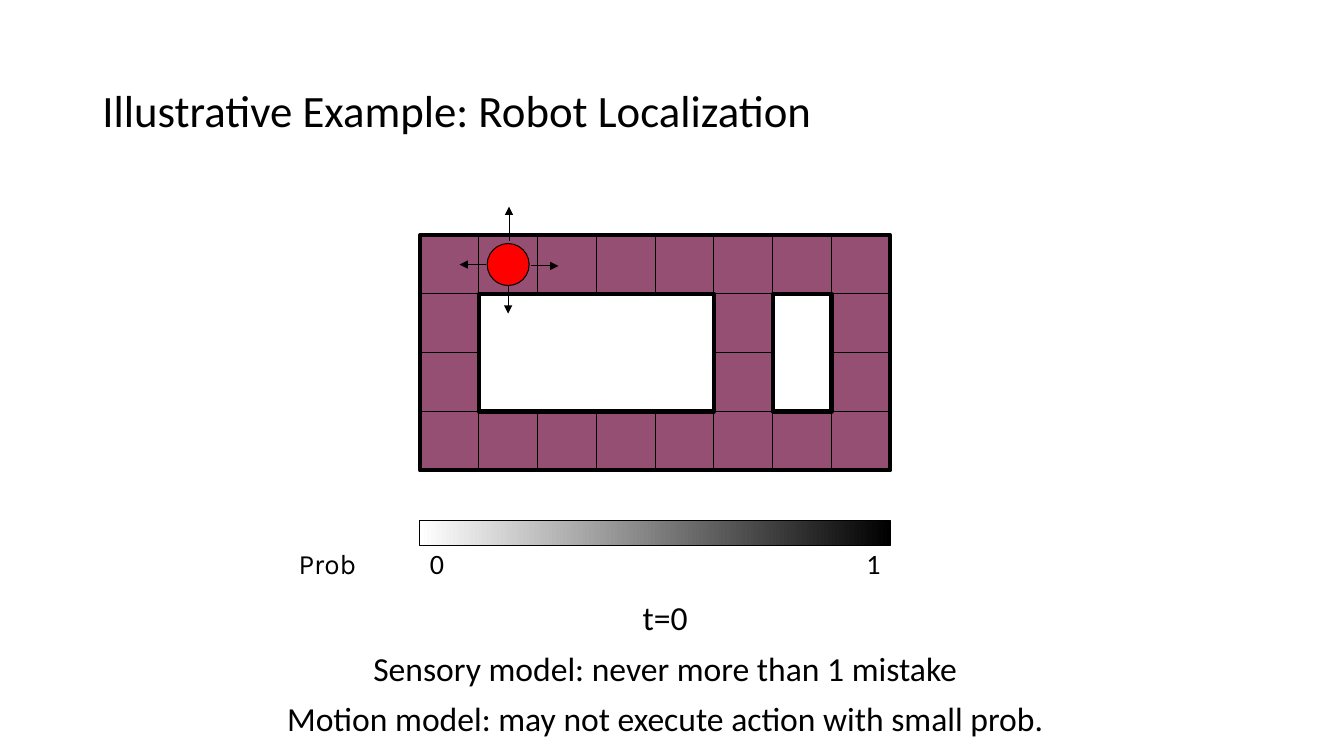
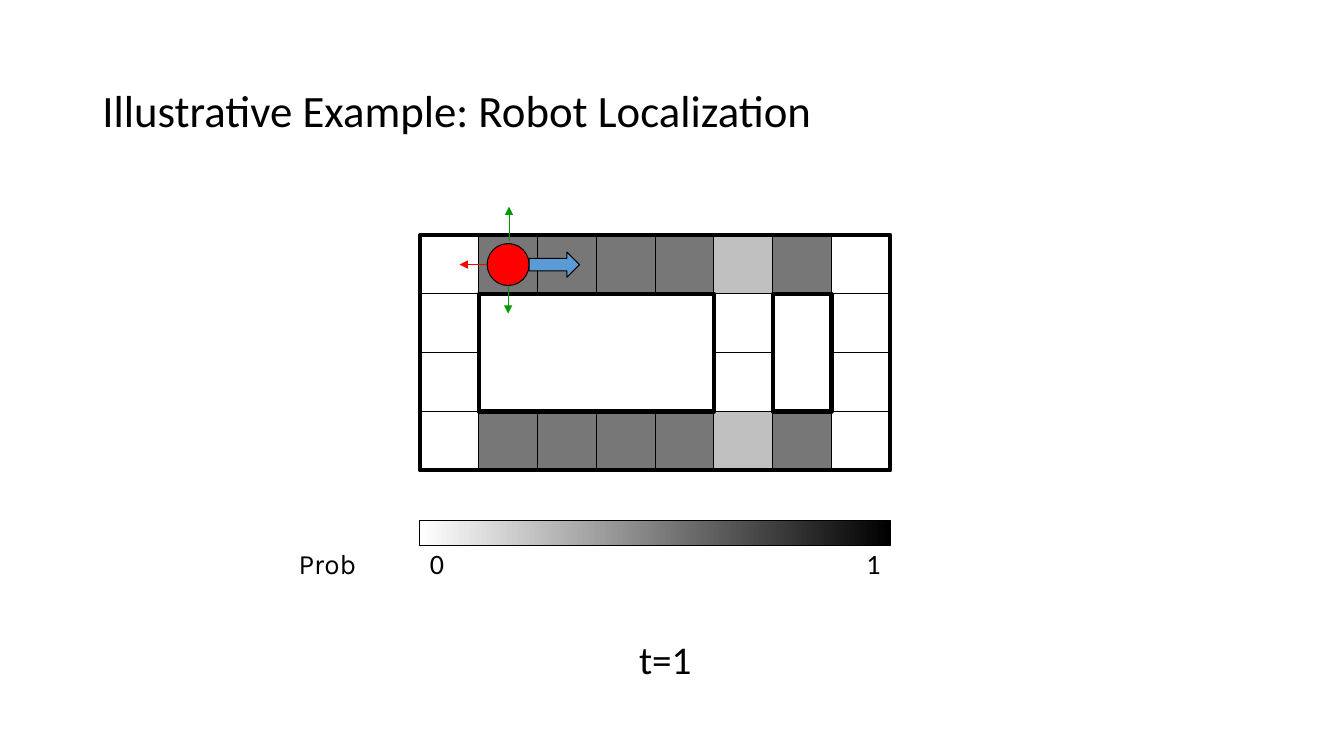
from lxml import etree
from pptx import Presentation
from pptx.dml.color import RGBColor
from pptx.enum.shapes import MSO_CONNECTOR, MSO_SHAPE
from pptx.enum.text import MSO_ANCHOR, PP_ALIGN
from pptx.oxml.ns import qn
from pptx.util import Pt

RECT, OVAL, RIGHT_ARROW = MSO_SHAPE.RECTANGLE, MSO_SHAPE.OVAL, MSO_SHAPE.RIGHT_ARROW
STRAIGHT = MSO_CONNECTOR.STRAIGHT
TOP, MIDDLE = MSO_ANCHOR.TOP, MSO_ANCHOR.MIDDLE
LEFT, CENTER, RIGHT = PP_ALIGN.LEFT, PP_ALIGN.CENTER, PP_ALIGN.RIGHT

BLACK, WHITE, RED, GREEN, BLUE = "000000", "FFFFFF", "FF0000", "009900", "5B9BD5"
CELL_COLOURS = {"P": "954F72", "D": "777777", "L": "C0C0C0", "W": WHITE}
FONT = "Calibri"

TITLE = "Illustrative Example: Robot Localization"
STEPS = [
    {
        "map": ["PPPPPPPP", "P....P.P", "P....P.P", "PPPPPPPP"],
        "rays": {"up": BLACK, "down": BLACK, "left": BLACK, "right": BLACK},
        "moves_right": False,
        "caption": ["t=0", "Sensory model: never more than 1 mistake",
                    "Motion model: may not execute action with small prob."],
        "caption_top": 426.24, "caption_size": 24,
    },
    {
        "map": ["WDDDDLDW", "W....W.W", "W....W.W", "WDDDDLDW"],
        "rays": {"up": GREEN, "down": GREEN, "left": RED},
        "moves_right": True,
        "caption": ["t=1"],
        "caption_top": 454.32, "caption_size": 28,
    },
]

CELL, MAP_LEFT, MAP_TOP = 42, 300, 168
COLUMNS, ROWS = 8, 4
WALLS = [(1, 1, 4, 2, WHITE), (0, 0, COLUMNS, ROWS, None), (6, 1, 1, 2, WHITE)]
ROBOT_CELL, ROBOT_SIZE = (1, 0), 30
RAYS = {
    "up": (0.6, -17, 0.6, -41.4),
    "down": (0, 15, 0, 35),
    "left": (-16, 0, -34.7, 0),
    "right": (16.4, 1, 36, 1),
}
SCALE_TOP, SCALE_HEIGHT, LABEL_HEIGHT = 372, 18, 24
SCALE_LABELS = [
    ("1", MAP_LEFT + COLUMNS * CELL / 2, COLUMNS * CELL / 2, RIGHT, FONT),
    ("0", MAP_LEFT, COLUMNS * CELL / 2, LEFT, FONT),
    ("Prob", 180, 108, CENTER, "Karla"),
]


def colour(value):
    return RGBColor.from_string(value)


def add_outlined(slide, kind, left, top, width, height, fill, weight=0.75):
    shape = slide.shapes.add_shape(kind, Pt(left), Pt(top), Pt(width), Pt(height))
    shape.shadow.inherit = False
    shape.line.color.rgb = colour(BLACK)
    shape.line.width = Pt(weight)
    if fill:
        shape.fill.solid()
        shape.fill.fore_color.rgb = colour(fill)
    else:
        shape.fill.background()
    return shape


def add_text(slide, lines, left, top, width, height, size, font=FONT,
             align=LEFT, anchor=MIDDLE, spacing=0.9, before=0):
    frame = slide.shapes.add_textbox(Pt(left), Pt(top), Pt(width), Pt(height)).text_frame
    frame.word_wrap = True
    frame.vertical_anchor = anchor
    frame.text = "\n".join(lines)
    for paragraph in frame.paragraphs:
        paragraph.alignment = align
        paragraph.line_spacing = spacing
        paragraph.space_before = Pt(before)
        for run in paragraph.runs:
            run.font.name = font
            run.font.size = Pt(size)
            run.font.color.rgb = colour(BLACK)


def add_arrow(slide, x1, y1, x2, y2, stroke):
    arrow = slide.shapes.add_connector(STRAIGHT, Pt(x1), Pt(y1), Pt(x2), Pt(y2))
    arrow.line.color.rgb = colour(stroke)
    arrow.line.width = Pt(0.75)
    etree.SubElement(arrow.line._get_or_add_ln(), qn("a:tailEnd"), type="triangle")
    etree.SubElement(arrow._element.spPr, qn("a:effectLst"))


def add_map(slide, rows):
    for row, cells in enumerate(rows):
        for column, code in enumerate(cells):
            if code in CELL_COLOURS:
                add_outlined(slide, RECT, MAP_LEFT + column * CELL, MAP_TOP + row * CELL,
                             CELL, CELL, CELL_COLOURS[code])
    for column, row, across, down, fill in WALLS:
        add_outlined(slide, RECT, MAP_LEFT + column * CELL, MAP_TOP + row * CELL,
                     across * CELL, down * CELL, fill, 3)


def add_scale(slide):
    bar = add_outlined(slide, RECT, MAP_LEFT, SCALE_TOP, COLUMNS * CELL, SCALE_HEIGHT, None)
    bar.fill.gradient()
    bar.fill.gradient_angle = 0
    for stop, position, shade in zip(bar.fill.gradient_stops, (0, 1), (WHITE, BLACK)):
        stop.position = position
        stop.color.rgb = colour(shade)
    for label, left, width, align, font in SCALE_LABELS:
        add_text(slide, [label], left, SCALE_TOP + SCALE_HEIGHT, width, LABEL_HEIGHT,
                 20, font, align, spacing=1)


def add_robot(slide, rays, moves_right):
    x = MAP_LEFT + (ROBOT_CELL[0] + 0.5) * CELL
    y = MAP_TOP + (ROBOT_CELL[1] + 0.5) * CELL
    radius = ROBOT_SIZE / 2
    add_outlined(slide, OVAL, x - radius, y - radius, ROBOT_SIZE, ROBOT_SIZE, RED)
    for direction, stroke in rays.items():
        x1, y1, x2, y2 = RAYS[direction]
        add_arrow(slide, x + x1, y + y1, x + x2, y + y2, stroke)
    if moves_right:
        add_outlined(slide, RIGHT_ARROW, x + radius, y - 9, 36, 18, BLUE)


def main():
    deck = Presentation()
    deck.slide_width, deck.slide_height = Pt(960), Pt(540)
    for step in STEPS:
        slide = deck.slides.add_slide(deck.slide_layouts[6])
        add_text(slide, [TITLE], 66, 28.8, 828, 104.4, 32)
        add_text(slide, step["caption"], 169.2, step["caption_top"], 612,
                 526.32 - step["caption_top"], step["caption_size"],
                 align=CENTER, anchor=TOP, before=10)
        add_map(slide, step["map"])
        add_scale(slide)
        add_robot(slide, step["rays"], step["moves_right"])
    deck.save("out.pptx")


if __name__ == "__main__":
    main()
